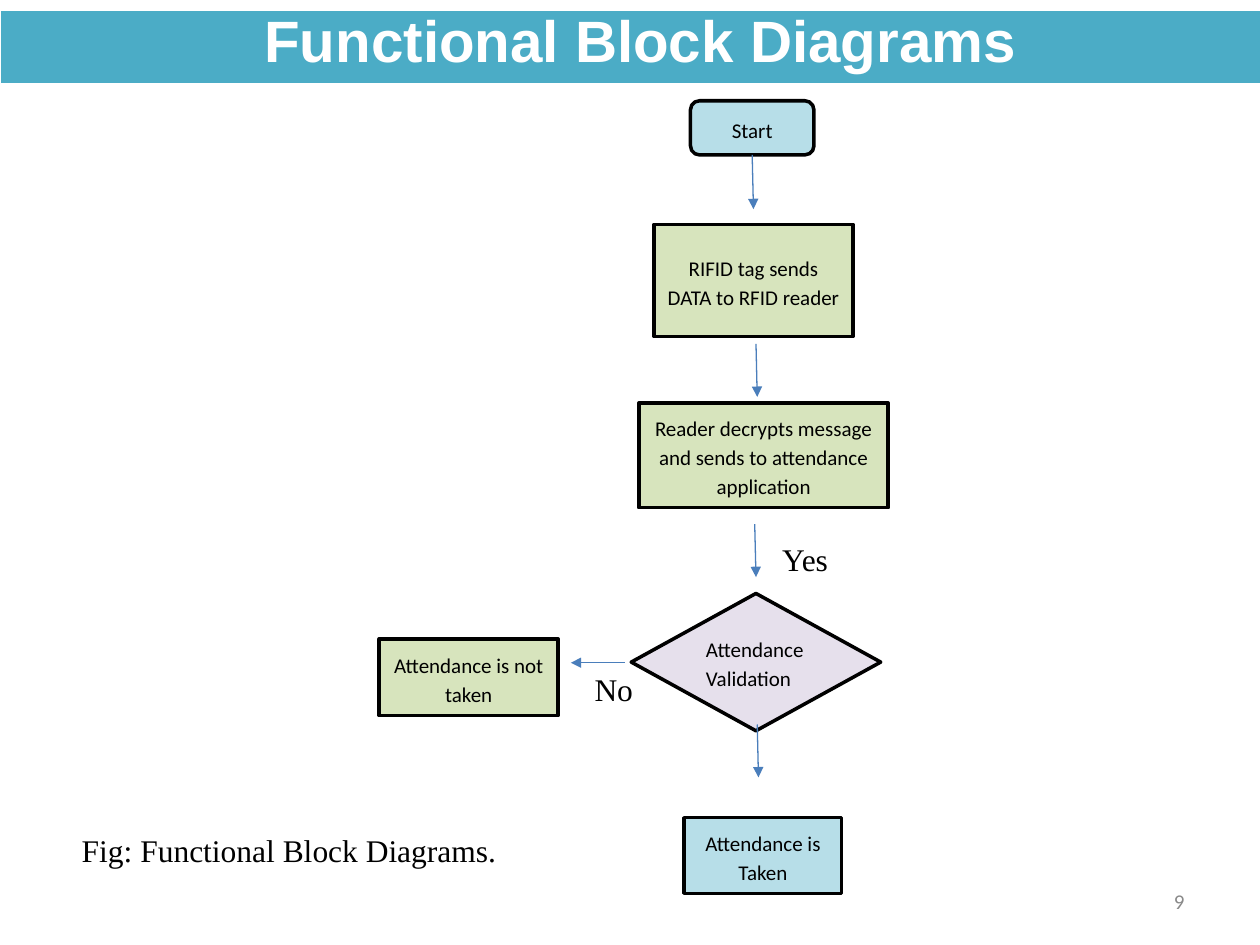
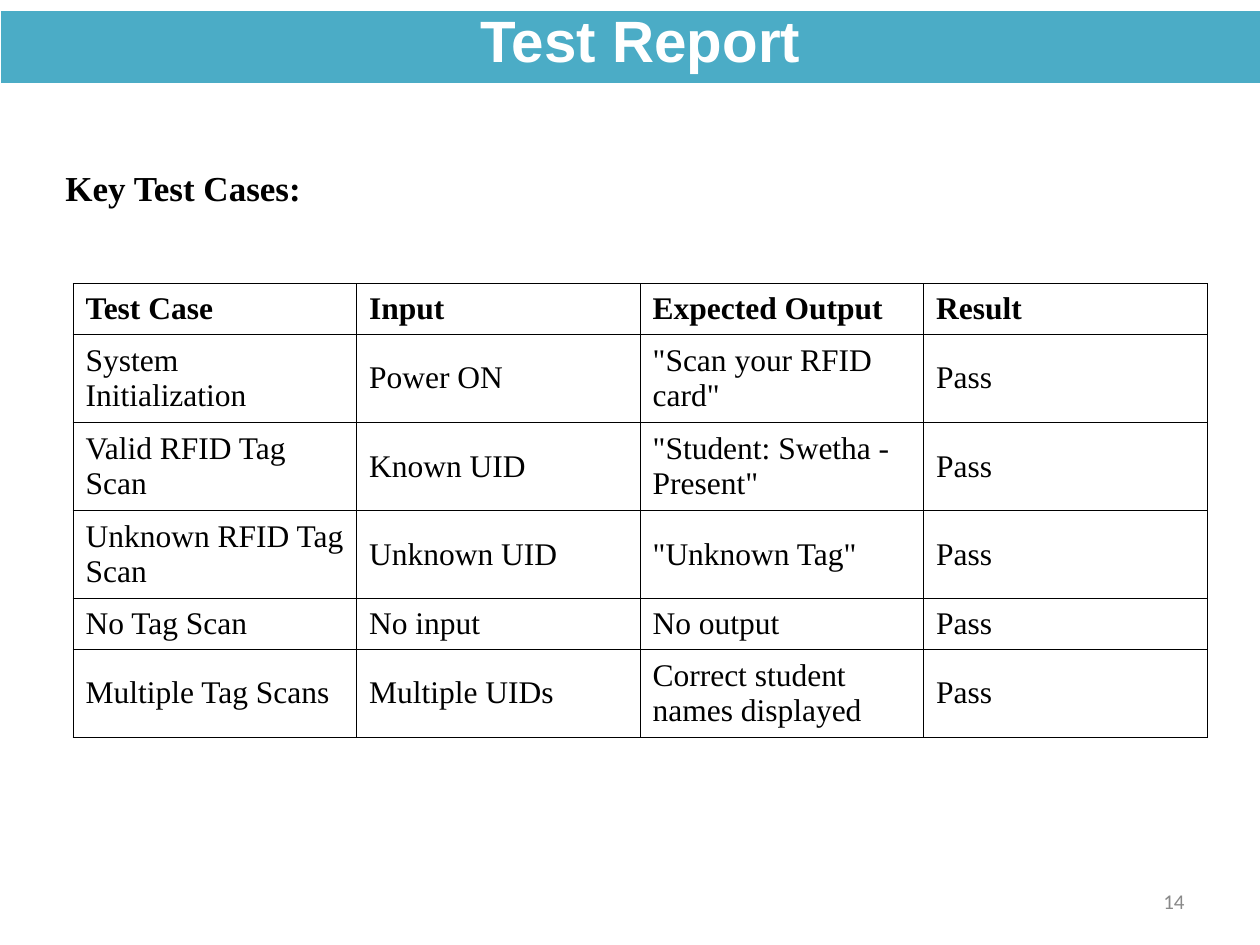
from dataclasses import dataclass

from lxml import etree
from pptx import Presentation
from pptx.dml.color import RGBColor
from pptx.enum.shapes import MSO_CONNECTOR, MSO_SHAPE
from pptx.enum.text import MSO_ANCHOR, MSO_AUTO_SIZE, PP_ALIGN
from pptx.oxml.ns import qn
from pptx.util import Inches, Pt

STRAIGHT = MSO_CONNECTOR.STRAIGHT
RECTANGLE = MSO_SHAPE.RECTANGLE
ROUNDED = MSO_SHAPE.ROUNDED_RECTANGLE
DIAMOND = MSO_SHAPE.DIAMOND
TOP, MIDDLE = MSO_ANCHOR.TOP, MSO_ANCHOR.MIDDLE
NO_AUTOFIT = MSO_AUTO_SIZE.NONE
LEFT, CENTER, RIGHT = PP_ALIGN.LEFT, PP_ALIGN.CENTER, PP_ALIGN.RIGHT
TITLE_ONLY = 5
BOTTOM_SITE = 2
BORDER_TAGS = ("a:lnL", "a:lnR", "a:lnT", "a:lnB")


@dataclass(frozen=True)
class Theme:
    band: str = "4BACC6"
    white: str = "FFFFFF"
    black: str = "000000"
    number: str = "898989"
    arrow: str = "4A7EBB"
    blue: str = "B7DEE8"
    green: str = "D7E4BD"
    purple: str = "E6E0EC"
    title_font: str = "Arial"
    node_font: str = "Calibri"
    body_font: str = "Times New Roman"
    title_size: float = 33.3
    heading_size: float = 20
    body_size: float = 18
    small_size: float = 12


def rgb(color):
    return RGBColor.from_string(color)


def inches(*lengths):
    return [Inches(length) for length in lengths]


class Deck:
    def __init__(self, theme):
        self.theme = theme
        self.presentation = Presentation()
        self.presentation.slide_width = Inches(10)
        self.presentation.slide_height = Inches(7.5)
        self.slide = None

    def fill_text(self, frame, text, font, size, color, bold=False, align=LEFT):
        frame.text = text
        frame.word_wrap = True
        paragraph = frame.paragraphs[0]
        paragraph.alignment = align
        paragraph.font.name = font
        paragraph.font.size = Pt(size)
        paragraph.font.bold = bold
        paragraph.font.color.rgb = rgb(color)
        return paragraph

    def start_slide(self, title, number):
        theme = self.theme
        layout = self.presentation.slide_layouts[TITLE_ONLY]
        self.slide = self.presentation.slides.add_slide(layout)
        band = self.shape(RECTANGLE, (0, 0.08, 10, 0.58), theme.band, theme.white, 0.25)
        heading = self.slide.shapes.title
        heading.element.addprevious(band.element)
        heading.left, heading.top, heading.width, heading.height = inches(0.5, 0, 9.17, 0.7)
        frame = heading.text_frame
        frame.auto_size = NO_AUTOFIT
        frame.vertical_anchor = MIDDLE
        paragraph = self.fill_text(frame, title, theme.title_font, theme.title_size,
                                   theme.white, bold=True, align=CENTER)
        paragraph.line_spacing = 0.9
        self.text(number, (7.17, 6.95, 2.33, 0.4), theme.small_size, font=theme.node_font,
                  color=theme.number, align=RIGHT, anchor=MIDDLE)

    def shape(self, kind, box, fill, line, line_width):
        shape = self.slide.shapes.add_shape(kind, *inches(*box))
        shape.shadow.inherit = False
        shape.fill.solid()
        shape.fill.fore_color.rgb = rgb(fill)
        shape.line.color.rgb = rgb(line)
        shape.line.width = Pt(line_width)
        return shape

    def node(self, text, box, fill, kind=RECTANGLE, align=CENTER):
        theme = self.theme
        shape = self.shape(kind, box, fill, theme.black, 2)
        shape.text_frame.vertical_anchor = MIDDLE
        paragraph = self.fill_text(shape.text_frame, text, theme.node_font, theme.small_size,
                                   theme.black, align=align)
        paragraph.line_spacing = 1.15
        paragraph.space_after = Pt(8)
        return shape

    def arrow(self, start, end):
        connector = self.slide.shapes.add_connector(STRAIGHT, *inches(*start, *end))
        connector.line.color.rgb = rgb(self.theme.arrow)
        connector.line.width = Pt(0.75)
        properties = connector.element.spPr
        etree.SubElement(properties.find(qn("a:ln")), qn("a:tailEnd"), type="triangle")
        etree.SubElement(properties, qn("a:effectLst"))
        return connector

    def text(self, text, box, size, font=None, color=None, bold=False, align=LEFT, anchor=TOP):
        theme = self.theme
        frame = self.slide.shapes.add_textbox(*inches(*box)).text_frame
        frame.vertical_anchor = anchor
        self.fill_text(frame, text, font or theme.body_font, size, color or theme.black,
                       bold, align)

    def border(self, cell):
        properties = cell._tc.get_or_add_tcPr()
        for tag in BORDER_TAGS:
            line = etree.SubElement(properties, qn(tag), w=str(Pt(0.45)))
            fill = etree.SubElement(line, qn("a:solidFill"))
            etree.SubElement(fill, qn("a:srgbClr"), val=self.theme.black)

    def table(self, rows, box, row_heights):
        theme = self.theme
        frame = self.slide.shapes.add_table(len(rows), len(rows[0]), *inches(*box))
        table = frame.table
        table.first_row = False
        table.horz_banding = False
        for row_index, (values, height) in enumerate(zip(rows, row_heights)):
            table.rows[row_index].height = Inches(height)
            for column_index, value in enumerate(values):
                cell = table.cell(row_index, column_index)
                cell.vertical_anchor = MIDDLE
                self.border(cell)
                cell.fill.background()
                self.fill_text(cell.text_frame, value, theme.body_font, theme.body_size,
                               theme.black, bold=row_index == 0)


def build_block_diagram(deck):
    theme = deck.theme
    deck.start_slide("Functional Block Diagrams", "9")
    start = deck.node("Start", (5.48, 0.8, 0.98, 0.43), theme.blue, ROUNDED)
    deck.node("RIFID tag sends DATA to RFID reader", (5.19, 1.78, 1.58, 0.89), theme.green)
    deck.node("Reader decrypts message and sends to attendance application",
              (5.07, 3.2, 1.98, 0.83), theme.green)
    deck.node("Attendance Validation", (5.01, 4.71, 1.98, 1.09), theme.purple, DIAMOND, LEFT)
    deck.node("Attendance is Taken", (5.43, 6.49, 1.25, 0.6), theme.blue)
    deck.node("Attendance is not taken", (3.01, 5.07, 1.42, 0.61), theme.green)

    first_arrow = deck.arrow((5.97, 1.23), (5.98, 1.66))
    first_arrow.begin_connect(start, BOTTOM_SITE)
    for left, top in ((6, 2.73), (5.99, 4.16), (6.01, 5.75)):
        deck.arrow((left, top), (left + 0.01, top + 0.42))
    deck.arrow((4.96, 5.26), (4.53, 5.26))

    deck.text("No", (4.62, 5.27, 0.59, 0.4), theme.body_size)
    deck.text("Yes", (6.11, 4.24, 0.57, 0.7), theme.body_size)
    deck.text("Fig: Functional Block Diagrams.", (0.55, 6.55, 3.55, 0.4), theme.body_size)


def build_test_report(deck):
    deck.start_slide("Test Report", "14")
    test_cases = [
        ("Test Case", "Input", "Expected Output", "Result"),
        ("System Initialization", "Power ON", '"Scan your RFID card"', "Pass"),
        ("Valid RFID Tag Scan", "Known UID", '"Student: Swetha - Present"', "Pass"),
        ("Unknown RFID Tag Scan", "Unknown UID", '"Unknown Tag"', "Pass"),
        ("No Tag Scan", "No input", "No output", "Pass"),
        ("Multiple Tag Scans", "Multiple UIDs", "Correct student names displayed", "Pass"),
    ]
    deck.table(test_cases, (0.58, 2.25, 9, 3.6), (0.4, 0.7, 0.7, 0.7, 0.4, 0.7))
    deck.text("Key Test Cases:", (0.42, 1.27, 5.01, 0.44), deck.theme.heading_size, bold=True)


def main():
    deck = Deck(Theme())
    build_block_diagram(deck)
    build_test_report(deck)
    deck.presentation.save("out.pptx")


if __name__ == "__main__":
    main()
